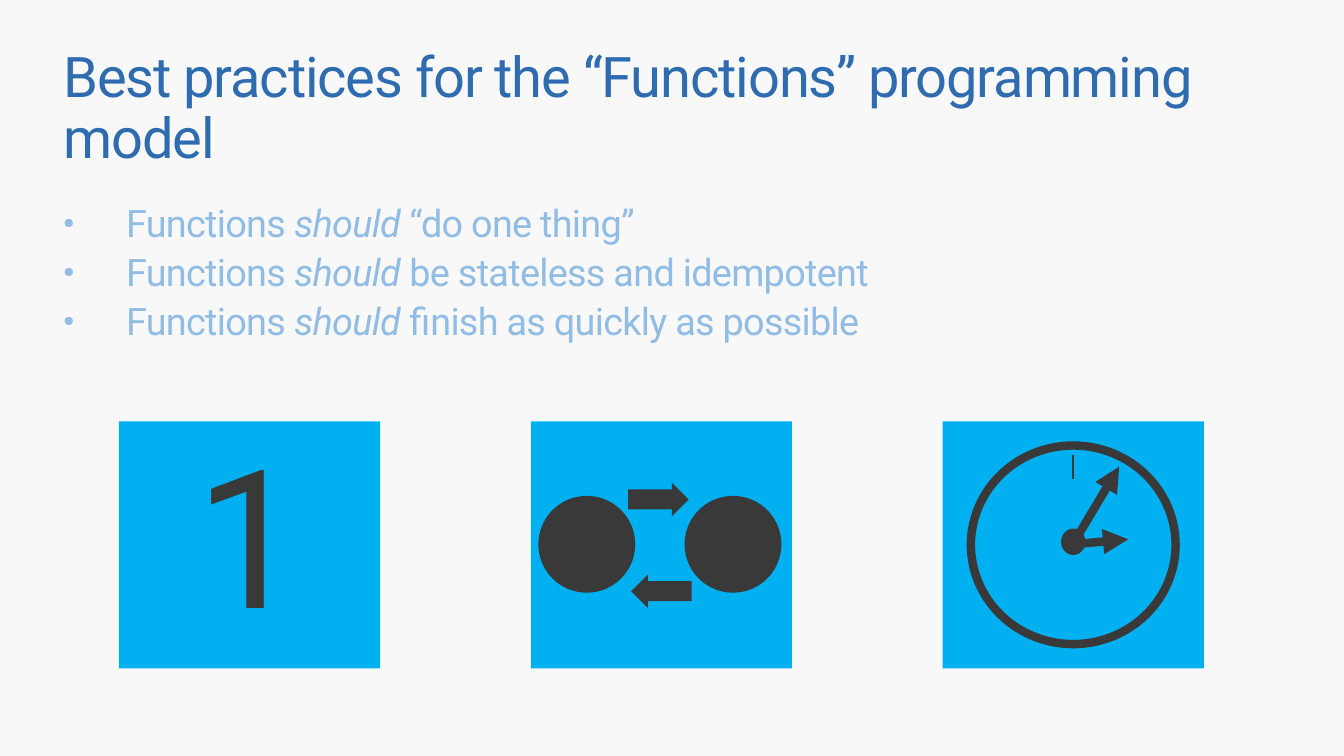
from pptx import Presentation
from pptx.dml.color import RGBColor
from pptx.enum.shapes import MSO_CONNECTOR as Line, MSO_SHAPE as Shape
from pptx.enum.text import MSO_ANCHOR as Anchor, MSO_AUTO_SIZE as Fit, PP_ALIGN as Align
from pptx.oxml.ns import qn
from pptx.util import Inches, Pt
from lxml.etree import SubElement

# Content
TITLE = "Best practices for the “Functions” programming model"
RULES = ["“do one thing”", "be stateless and idempotent", "finish as quickly as possible"]
FONT = "Roboto"
COLORS = {"back": "F8F8F8", "title": "2E6CAF", "body": "91BCE3",
          "tile": "00B0F0", "dark": "393939"}

# Tiles: left edge of the first, step, top, width, height
LEFT, STEP, TOP, WIDE, HIGH = 1.18, 4.085, 4.18, 2.59, 2.45
DISC, DISC_TOP = 0.96, 4.92
DISCS = [5.34, 6.79]
ARROWS = [(6.23, 4.79, 0), (6.26, 5.7, 180)]
HUB = (10.64, 5.4)
HANDS = [(11.1, 4.63), (11.19, 5.35)]


def color(name):
    return RGBColor.from_string(COLORS[name])


def place(shape, x, y, w, h):
    shape.left, shape.top, shape.width, shape.height = map(Inches, (x, y, w, h))


def set_frame(shape, mx=0, my=0):
    frame = shape.text_frame
    frame.word_wrap, frame.auto_size = True, Fit.NONE
    frame.vertical_anchor = Anchor.TOP
    frame.margin_left = frame.margin_right = Inches(mx)
    frame.margin_top = frame.margin_bottom = Inches(my)
    return frame


def add_run(para, text, size, name, track=0, slant=False):
    run = para.add_run()
    run.text = text
    font = run.font
    font.name, font.size, font.italic = FONT, Pt(size), slant
    font.color.rgb = color(name)
    if track:
        run._r.get_or_add_rPr().set("spc", str(track))


def add_form(kind, x, y, w, h, fill=None, line=0):
    form = slide.shapes.add_shape(kind, *map(Inches, (x, y, w, h)))
    form.shadow.inherit = False
    if fill:
        form.fill.solid()
        form.fill.fore_color.rgb = color(fill)
    else:
        form.fill.background()
    if line:
        form.line.color.rgb = color("dark")
        form.line.width = Pt(line)
    else:
        form.line.fill.background()
    return form


def add_line(start, end, width, head=False):
    line = slide.shapes.add_connector(Line.STRAIGHT, *map(Inches, (*start, *end)))
    line.line.color.rgb = color("dark")
    line.line.width = Pt(width)
    props = line._element.spPr
    if head:
        SubElement(props.find(qn("a:ln")), qn("a:tailEnd"), type="triangle")
    SubElement(props, qn("a:effectLst"))


deck = Presentation()
deck.slide_width, deck.slide_height = Inches(13.33), Inches(7.5)
slide = deck.slides.add_slide(deck.slide_layouts[1])
slide.background.fill.solid()
slide.background.fill.fore_color.rgb = color("back")

# Title
title = slide.shapes.title
place(title, 0.63, 0.49, 11.81, 1.35)
para = set_frame(title).paragraphs[0]
para.alignment, para.line_spacing = Align.LEFT, 0.9
add_run(para, TITLE, 40, "title", -80)

# Bullet list
body = slide.placeholders[1]
place(body, 0.63, 2.03, 11.99, 1.6)
frame = set_frame(body)
for i, rule in enumerate(RULES):
    para = frame.add_paragraph() if i else frame.paragraphs[0]
    para.line_spacing, para.space_before = 0.9, Pt(6 if i else 0)
    props = para._p.get_or_add_pPr()
    props.set("marL", str(Inches(0.62)))
    props.set("indent", str(Inches(-0.62)))
    SubElement(props, qn("a:buSzPct"), val="80000")
    SubElement(props, qn("a:buChar"), char="•")
    for text, slant in (("Functions ", False), ("should", True), (" " + rule, False)):
        add_run(para, text, 27, "body", -50, slant)

# Tiles
for i in range(len(RULES)):
    add_form(Shape.RECTANGLE, LEFT + i * STEP, TOP, WIDE, HIGH, "tile")

# Numeral
box = slide.shapes.add_textbox(*map(Inches, (1.42, 4.22, 2.11, 2.45)))
para = set_frame(box, 0.2, 0.16).paragraphs[0]
para.alignment, para.line_spacing, para.space_after = Align.CENTER, 0.9, Pt(6)
add_run(para, "1", 138, "dark")

# Exchange
for x in DISCS:
    add_form(Shape.OVAL, x, DISC_TOP, DISC, DISC, "dark")
for x, y, turn in ARROWS:
    arrow = add_form(Shape.RIGHT_ARROW, x, y, 0.6, 0.33, "dark")
    arrow.adjustments[0], arrow.adjustments[1] = 0.6, 0.5
    arrow.rotation = turn

# Clock
add_form(Shape.OVAL, 9.63, 4.42, 2.03, 1.97, line=6)
add_line((HUB[0], 4.51), (HUB[0], 4.75), 1.5)
for tip in HANDS:
    add_line(HUB, tip, 6, head=True)
add_form(Shape.OVAL, 10.53, 5.25, 0.23, 0.25, "dark", 0.85)

deck.save("out.pptx")
